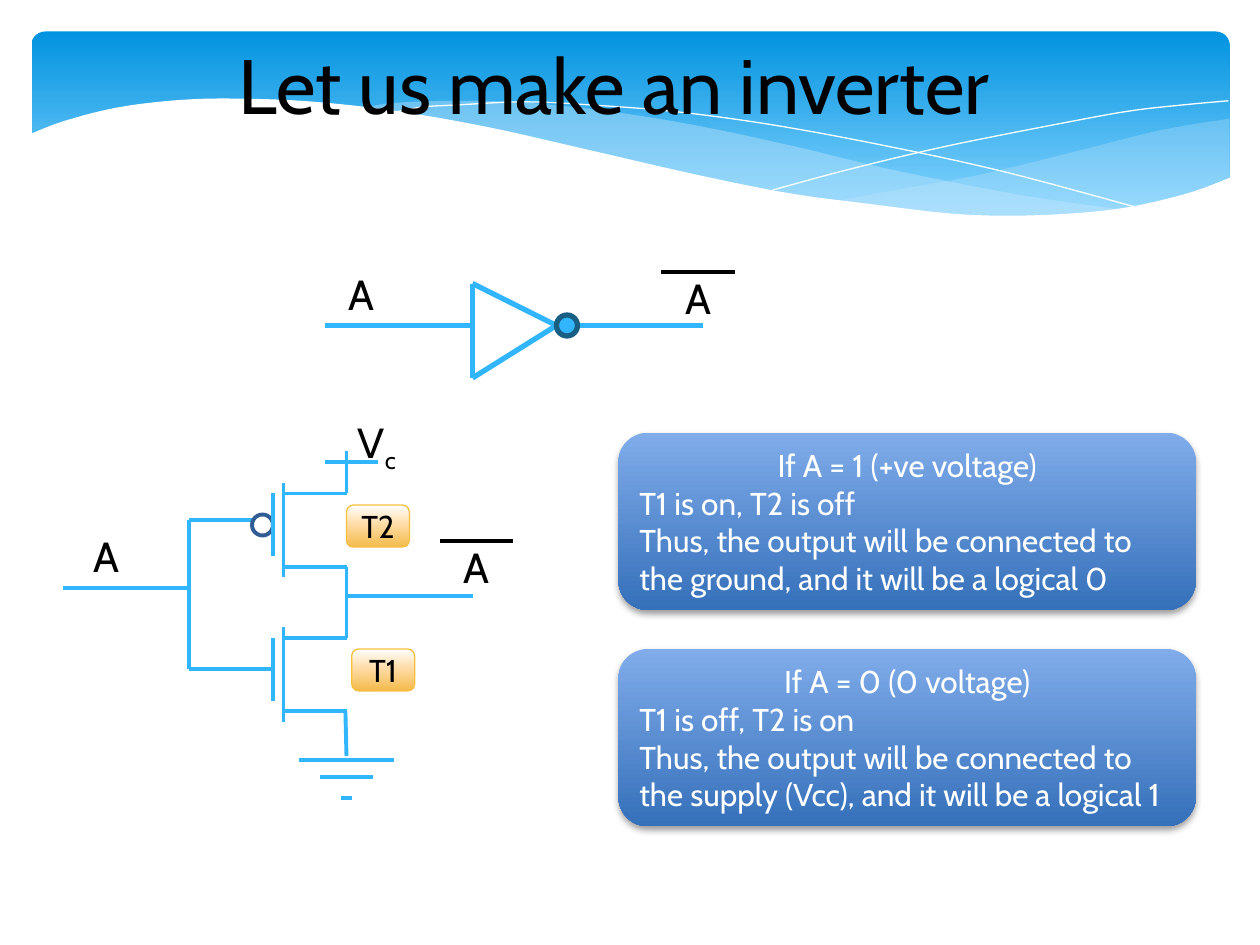
from copy import deepcopy
from typing import NamedTuple, Optional, Sequence

from lxml.etree import SubElement
from pptx import Presentation
from pptx.dml.color import RGBColor
from pptx.enum.shapes import MSO_CONNECTOR, MSO_SHAPE
from pptx.enum.text import MSO_ANCHOR, PP_ALIGN
from pptx.oxml.ns import qn
from pptx.util import Inches, Pt

FONT = "Cabin"
BLACK = RGBColor(0x00, 0x00, 0x00)
WHITE = RGBColor(0xFF, 0xFF, 0xFF)
WIRE = RGBColor(0x31, 0xB6, 0xFD)
GATE_EDGE = RGBColor(0x19, 0x5F, 0x84)
BUBBLE_EDGE = RGBColor(0x31, 0x5D, 0x95)
WAVE = RGBColor(0xC6, 0xE7, 0xFC)
TAG_EDGE = RGBColor(0xF5, 0xC0, 0x40)
BAND_STOPS = [(0, RGBColor(0x02, 0x93, 0xE0)), (0.9, RGBColor(0x83, 0xD3, 0xFE))]
CALLOUT_STOPS = [(0, RGBColor(0x80, 0xAC, 0xEA)), (1, RGBColor(0x35, 0x70, 0xBA))]
TAG_STOPS = [(0, WHITE), (0.44, RGBColor(0xFF, 0xDD, 0xAA)), (1, RGBColor(0xF4, 0xBB, 0x4A))]

Point = tuple[float, float]


class Box(NamedTuple):
    left: float
    top: float
    width: float
    height: float


class Wire(NamedTuple):
    x1: float
    y1: float
    x2: float
    y2: float


class Curve(NamedTuple):
    knots: list[Point]
    lower_knots: list[Point] = []
    opacity: Optional[int] = None


class Callout(NamedTuple):
    top: float
    lines: list[str]


CURVES = [
    Curve([(117.1, 11.3), (110.5, 12.4), (103.3, 14.2), (93.5, 16.6), (84.7, 18.2), (79.3, 19.2)],
          [(79.3, 19.2), (87.8, 20.2), (95, 20.6), (101.3, 20.5), (106.7, 19.9), (112.2, 18.7),
           (117.1, 16.9)], 29),
    Curve([(107.1, 20), (96.8, 18.5), (84.7, 16.1), (75.5, 13.9), (66.6, 12), (58.7, 10.7),
           (50.4, 9.8), (43.3, 9.6), (37.6, 9.8), (34.3, 10.3)],
          [(34.3, 10.3), (41, 11.3), (48.5, 12.7), (58.9, 15.1), (68, 17.2), (76, 18.7),
           (83.4, 19.8), (91.3, 20.5), (98.2, 20.8), (104, 20.5), (107.1, 20)], 40),
    Curve([(37.1, 10.8), (40.2, 10.2), (43.5, 10), (49.9, 9.7), (56.3, 10), (64, 10.6),
           (73, 11.8), (83.4, 13.7), (95.4, 16.3), (108.8, 19.9)]),
    Curve([(73.6, 18.1), (80.6, 16.2), (89.8, 14), (100.3, 11.9), (107.4, 10.6), (112.6, 10),
           (117, 9.6)]),
    Curve([(2.8, 12.8), (6.2, 11.5), (11.4, 10.2), (17.5, 9.5), (23.2, 9.4), (30, 9.7),
           (37.9, 10.6), (46.9, 12.2), (57, 14.5), (66.6, 16.7), (75.1, 18.4), (82.6, 19.4),
           (91.3, 20.4), (98.8, 20.5), (106.4, 19.9), (112.8, 18.5), (117.2, 16.9)],
          [(117.2, 26.9), (2.8, 26.9)], 100),
]
GATE_WIRES = [Wire(31, 31, 45, 31), Wire(45, 27, 45, 36), Wire(45, 27, 53, 31),
              Wire(53, 31, 45, 36), Wire(55, 31, 67, 31)]
CIRCUIT_WIRES = [
    Wire(6, 56, 18, 56), Wire(18, 49.5, 18, 63.75),
    Wire(18, 49.5, 24, 49.5), Wire(18, 63.75, 26, 63.75),
    Wire(33, 43, 33, 47), Wire(31, 44, 36, 44),
    Wire(33, 54, 33, 60.75), Wire(33, 56.75, 45, 56.75), Wire(32.9, 67.75, 33, 72),
]
TRANSISTOR_TOPS = [46, 59.75]
GROUND_BARS = [(72.4, 4.5), (74, 2.5), (76, 0.5)]  # row, half length
CALLOUTS = [
    Callout(41.2, ["If A = 1 (+ve voltage)", "T1 is on, T2 is off",
                   "Thus, the output will be connected to the ground, and it will be a logical 0"]),
    Callout(61.8, ["If A = 0 (0 voltage)", "T1 is off, T2 is on",
                   "Thus, the output will be connected to the supply (Vcc), and it will be a logical 1"]),
]


def cells(count: float) -> int:
    """Length of grid cells; the slide is 120 columns by 90 rows."""
    return Inches(count / 12)


def smooth(knots: Sequence[Point], steps: int = 6) -> list[Point]:
    """Catmull-Rom curve through the knots."""
    padded = [knots[0], *knots, knots[-1]]
    points = [knots[0]]
    for a, b, c, d in zip(padded, padded[1:], padded[2:], padded[3:]):
        for step in range(1, steps + 1):
            t = step / steps
            points.append(tuple(
                (2 * q + (r - p) * t + (2 * p - 5 * q + 4 * r - s) * t ** 2
                 + (3 * q - p - 3 * r + s) * t ** 3) / 2
                for p, q, r, s in zip(a, b, c, d)))
    return points


def add_curve(slide, curve: Curve) -> None:
    lower = curve.lower_knots
    outline = smooth(curve.knots) + (smooth(lower) if len(lower) > 2 else lower)
    points = [(cells(x), cells(y)) for x, y in outline]
    builder = slide.shapes.build_freeform(*points[0], scale=1.0)
    builder.add_line_segments(points[1:], close=bool(lower))
    shape = builder.convert_to_shape()
    shape.shadow.inherit = False
    if not lower:
        shape.fill.background()
        shape.line.color.rgb = WHITE
        shape.line.width = 0
        return
    shape.line.fill.background()
    shape.fill.solid()
    shape.fill.fore_color.rgb = WHITE if curve.opacity == 100 else WAVE
    color = shape._element.spPr.find(qn("a:solidFill"))[0]
    SubElement(color, qn("a:alpha"), val=str(curve.opacity * 1000))


def add_wire(slide, wire: Wire, color: RGBColor = WIRE, width: float = 2.25) -> None:
    line = slide.shapes.add_connector(MSO_CONNECTOR.STRAIGHT, *map(cells, wire))
    line.line.color.rgb = color
    line.line.width = Pt(width)
    SubElement(line._element.spPr, qn("a:effectLst"))


def add_preset(slide, kind: MSO_SHAPE, box: Box, edge: Optional[RGBColor] = None, width: float = 0):
    shape = slide.shapes.add_shape(kind, *map(cells, box))
    shape.shadow.inherit = False
    if edge is None:
        shape.line.fill.background()
    else:
        shape.line.color.rgb = edge
        shape.line.width = Pt(width)
    return shape


def add_bubble(slide, box: Box, fill: RGBColor, edge: RGBColor, width: float) -> None:
    bubble = add_preset(slide, MSO_SHAPE.OVAL, box, edge, width)
    bubble.fill.solid()
    bubble.fill.fore_color.rgb = fill


def fill_downward(shape, stops: Sequence[tuple[float, RGBColor]]) -> None:
    shape.fill.gradient()
    shape.fill.gradient_angle = 270
    stop_list = shape._element.spPr.find(qn("a:gradFill")).find(qn("a:gsLst"))
    for _ in stops[2:]:
        stop_list.append(deepcopy(stop_list[-1]))
    for stop, (position, color) in zip(shape.fill.gradient_stops, stops):
        stop.position = position
        stop.color.rgb = color


def cast_shadow(shape) -> None:
    effects = shape._element.spPr.find(qn("a:effectLst"))
    shadow = SubElement(effects, qn("a:outerShdw"), blurRad=str(Pt(4)), dist=str(Pt(2)),
                        dir="5400000", rotWithShape="0")
    color = SubElement(shadow, qn("a:srgbClr"), val=str(BLACK))
    SubElement(color, qn("a:alpha"), val="38000")


def style_text(paragraph, size: float, color: RGBColor, alignment: PP_ALIGN) -> None:
    paragraph.alignment = alignment
    for run in paragraph.runs:
        run.font.name = FONT
        run.font.size = Pt(size)
        run.font.color.rgb = color


def add_label(slide, text: str, box: Box, size: float = 24, subscript: str = "",
              alignment: PP_ALIGN = PP_ALIGN.LEFT, wrap: bool = False) -> None:
    text_frame = slide.shapes.add_textbox(*map(cells, box)).text_frame
    text_frame.word_wrap = wrap
    text_frame.text = text
    paragraph = text_frame.paragraphs[0]
    if subscript:
        run = paragraph.add_run()
        run.text = subscript
        run.font._element.set("baseline", "-25000")
    style_text(paragraph, size, BLACK, alignment)


def add_signal(slide, left: float, top: float, inverted: bool = False) -> None:
    add_label(slide, "A", Box(left, top, 4.9, 6))
    if inverted:
        add_wire(slide, Wire(left - 1.1, top + 0.55, left + 5.9, top + 0.55), BLACK)


def add_transistor(slide, top: float) -> None:
    add_wire(slide, Wire(26, top + 1, 26, top + 7))
    add_wire(slide, Wire(27, top, 27, top + 9))
    for row in (top + 1, top + 8):
        add_wire(slide, Wire(27, row, 33, row))


def add_panel(slide, box: Box, lines: list[str], stops, color: RGBColor, edge=None):
    panel = add_preset(slide, MSO_SHAPE.ROUNDED_RECTANGLE, box, edge, 0.75)
    fill_downward(panel, stops)
    text_frame = panel.text_frame
    text_frame.word_wrap = True
    text_frame.vertical_anchor = MSO_ANCHOR.MIDDLE
    text_frame.text = "\n".join(lines)
    for index, paragraph in enumerate(text_frame.paragraphs):
        style_text(paragraph, 18, color, PP_ALIGN.LEFT if index else PP_ALIGN.CENTER)
    return panel


def main() -> None:
    presentation = Presentation()
    presentation.slide_width, presentation.slide_height = cells(120), cells(90)
    slide = presentation.slides.add_slide(presentation.slide_layouts[6])

    band = add_preset(slide, MSO_SHAPE.ROUNDED_RECTANGLE, Box(3, 3, 114.1, 18.7))
    band.adjustments[0] = 0.07
    fill_downward(band, BAND_STOPS)
    for curve in CURVES:
        add_curve(slide, curve)
    add_label(slide, "Let us make an inverter", Box(2, 3, 113, 10.1), 44,
              alignment=PP_ALIGN.CENTER, wrap=True)

    for wire in GATE_WIRES:
        add_wire(slide, wire, width=3)
    add_bubble(slide, Box(53, 30, 2, 2), WIRE, GATE_EDGE, 3)
    add_signal(slide, 32, 25)
    add_signal(slide, 64.1, 25.4, inverted=True)

    for wire in CIRCUIT_WIRES:
        add_wire(slide, wire)
    add_bubble(slide, Box(24, 49, 2, 2), WHITE, BUBBLE_EDGE, 2.25)
    for top in TRANSISTOR_TOPS:
        add_transistor(slide, top)
    for row, half in GROUND_BARS:
        add_wire(slide, Wire(33 - half, row, 33 + half, row))
    add_label(slide, "V", Box(32.9, 39.1, 7, 6), subscript="cc")
    add_signal(slide, 7.7, 49.9)
    add_signal(slide, 43, 51, inverted=True)

    for name, left, top in (("T1", 33.5, 61.8), ("T2", 33, 48.1)):
        add_panel(slide, Box(left, top, 6, 4), [name], TAG_STOPS, BLACK, TAG_EDGE)
    for callout in CALLOUTS:
        cast_shadow(add_panel(slide, Box(58.9, callout.top, 55, 16.9), callout.lines,
                              CALLOUT_STOPS, WHITE))

    presentation.save("out.pptx")


if __name__ == "__main__":
    main()
